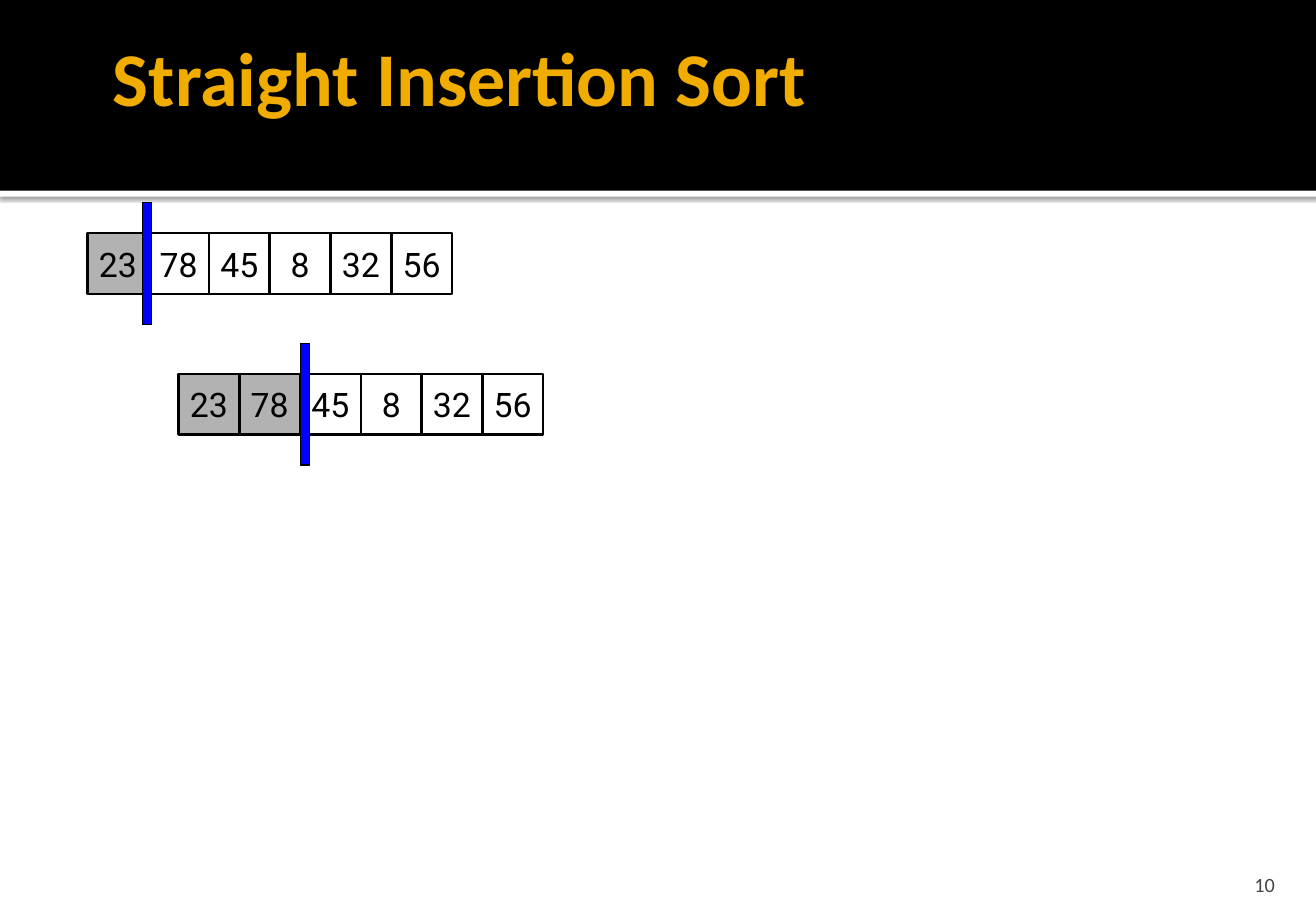
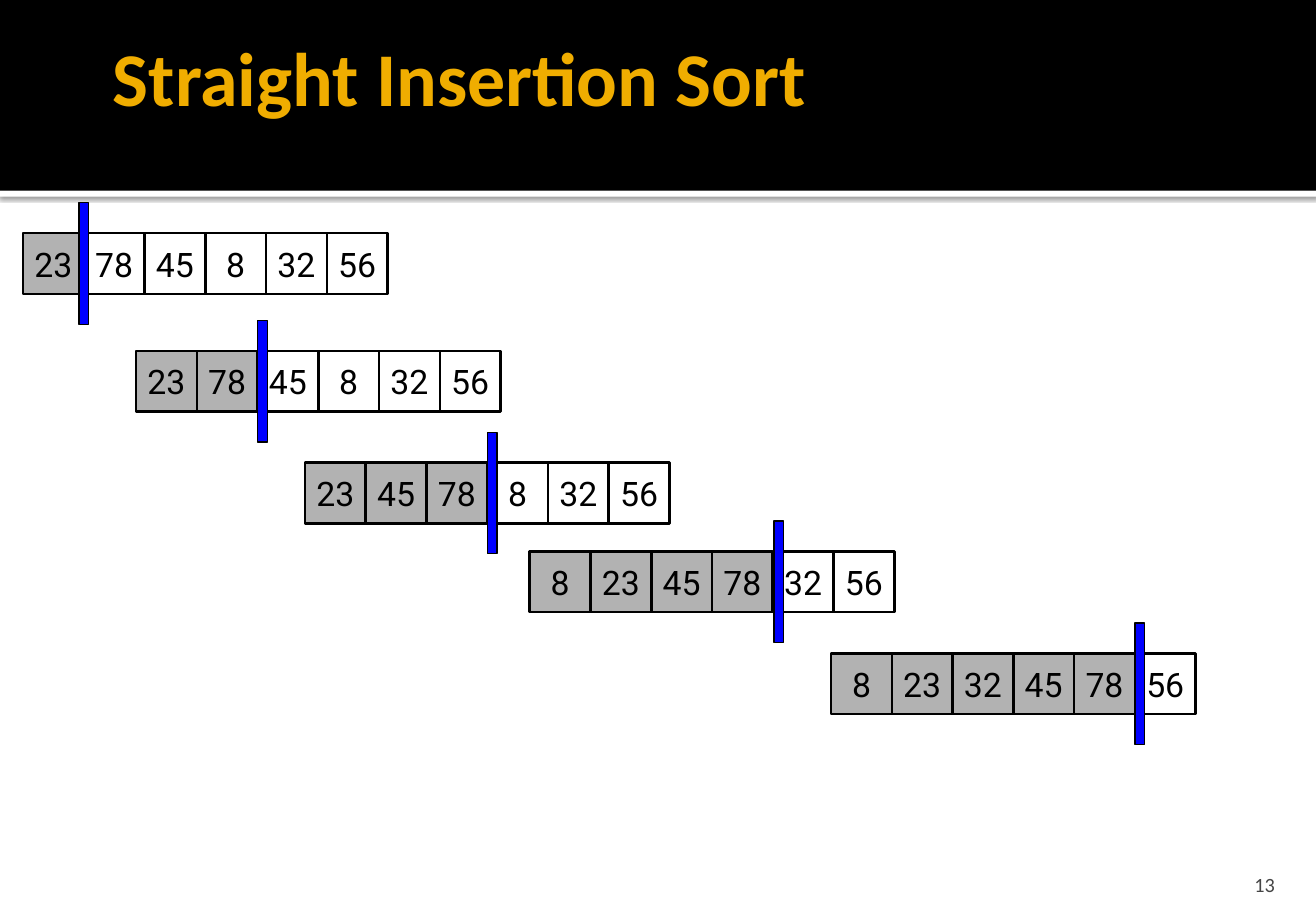
from dataclasses import dataclass

from lxml import etree
from pptx import Presentation
from pptx import util as u
from pptx.dml.color import RGBColor
from pptx.enum import shapes, text
from pptx.oxml import ns
from pptx.shapes.autoshape import Shape
from pptx.slide import Slide, SlideLayout
from pptx.text.text import TextFrame

INK = {
    "black": "000000",
    "white": "FFFFFF",
    "gold": "F0AD00",
    "grey": "B2B2B2",
    "blue": "0000FF",
    "slate": "454545",
}
WIDE, HIGH = 10.83, 7.5
CELL = 0.5
BAR, TALL = 0.08, 1.0


@dataclass(frozen=True)
class Row:
    left: float
    top: float
    nums: tuple[int, ...]
    done: int
    nudge: float = 0


@dataclass(frozen=True)
class Page:
    num: int
    rows: tuple[Row, ...]


PAGES = (
    Page(10, (
        Row(0.72, 1.92, (23, 78, 45, 8, 32, 56), 1, -0.05),
        Row(1.47, 3.08, (23, 78, 45, 8, 32, 56), 2),
    )),
    Page(13, (
        Row(0.19, 1.92, (23, 78, 45, 8, 32, 56), 1, -0.04),
        Row(1.12, 2.89, (23, 78, 45, 8, 32, 56), 2),
        Row(2.51, 3.81, (23, 45, 78, 8, 32, 56), 3),
        Row(4.36, 4.54, (8, 23, 45, 78, 32, 56), 4, 0.01),
        Row(6.84, 5.38, (8, 23, 32, 45, 78, 56), 5),
    )),
)


def tint(name: str) -> RGBColor:
    return RGBColor.from_string(INK[name])


def write(frame: TextFrame, words: str, face: str, size: float, ink: str,
          align: text.PP_ALIGN, bold: bool = False) -> None:
    frame.text = words
    para = frame.paragraphs[0]
    para.alignment = align
    font = para.runs[0].font
    font.name, font.size, font.bold = face, u.Pt(size), bold
    font.color.rgb = tint(ink)


def inset(frame: TextFrame, right: float, base: float) -> None:
    frame.margin_left, frame.margin_top = u.Inches(0.1), u.Inches(0.05)
    frame.margin_right, frame.margin_bottom = u.Inches(right), u.Inches(base)


def block(slide: Slide, left: float, top: float, width: float, height: float,
          fill: str | None, line: float = 0) -> Shape:
    box = slide.shapes.add_shape(
        shapes.MSO_SHAPE.RECTANGLE, u.Inches(left), u.Inches(top),
        u.Inches(width), u.Inches(height))
    box.shadow.inherit = False
    if fill:
        box.fill.solid()
        box.fill.fore_color.rgb = tint(fill)
    else:
        box.fill.background()
    if line:
        box.line.color.rgb = tint("black")
        box.line.width = u.Pt(line)
    else:
        box.line.fill.background()
    return box


def shade(box: Shape) -> None:
    glow = box.element.spPr.find(ns.qn("a:effectLst"))
    cast = etree.SubElement(
        glow, ns.qn("a:outerShdw"), blurRad=str(u.Pt(2.5)),
        dist=str(u.Pt(0.8)), dir="5400000", algn="tl", rotWithShape="0")
    hue = etree.SubElement(cast, ns.qn("a:srgbClr"), val=INK["black"])
    etree.SubElement(hue, ns.qn("a:alpha"), val="60000")


def band(slide: Slide, layout: SlideLayout) -> None:
    strip = block(slide, 0, 1.57, WIDE, 0.05, "white")
    shade(strip)
    head = block(slide, 0, 0, WIDE, 1.57, "black")
    for spot, box in enumerate((strip, head)):
        box.element.nvSpPr.cNvPr.set("id", str(20 + spot))
        layout.shapes.element.insert(2 + spot, box.element)


def label(slide: Slide, num: int) -> None:
    title = slide.shapes.title
    title.left, title.top = u.Inches(0.83), u.Inches(0)
    title.width, title.height = u.Inches(9.2), u.Inches(1.25)
    frame = title.text_frame
    frame.auto_size = text.MSO_AUTO_SIZE.NONE
    frame.vertical_anchor = text.MSO_ANCHOR.MIDDLE
    inset(frame, 0.05, 0.05)
    write(frame, "Straight Insertion Sort", "Calibri", 45, "gold",
          text.PP_ALIGN.LEFT, True)
    foot = slide.shapes.add_textbox(
        u.Inches(9.72), u.Inches(7.08), u.Inches(0.87), u.Inches(0.3))
    frame = foot.text_frame
    frame.word_wrap = True
    frame.vertical_anchor = text.MSO_ANCHOR.BOTTOM
    inset(frame, 0.1, 0)
    write(frame, str(num), "Calibri", 12, "slate", text.PP_ALIGN.RIGHT)


def draw(slide: Slide, row: Row) -> None:
    for spot, num in enumerate(row.nums):
        fill = "grey" if spot < row.done else None
        box = block(slide, row.left + spot * CELL, row.top, CELL, CELL,
                    fill, 1.5)
        frame = box.text_frame
        frame.word_wrap = False
        frame.vertical_anchor = text.MSO_ANCHOR.MIDDLE
        write(frame, str(num), "Roboto", 20, "black", text.PP_ALIGN.CENTER)
    block(slide, row.left + row.done * CELL + row.nudge,
          row.top - (TALL - CELL) / 2, BAR, TALL, "blue", 0.75)


def main() -> None:
    deck = Presentation()
    deck.slide_width, deck.slide_height = u.Inches(WIDE), u.Inches(HIGH)
    layout = deck.slide_layouts.get_by_name("Title Only")
    for spot, page in enumerate(PAGES):
        slide = deck.slides.add_slide(layout)
        if spot == 0:
            band(slide, layout)
        label(slide, page.num)
        for row in page.rows:
            draw(slide, row)
    deck.save("out.pptx")


if __name__ == "__main__":
    main()
